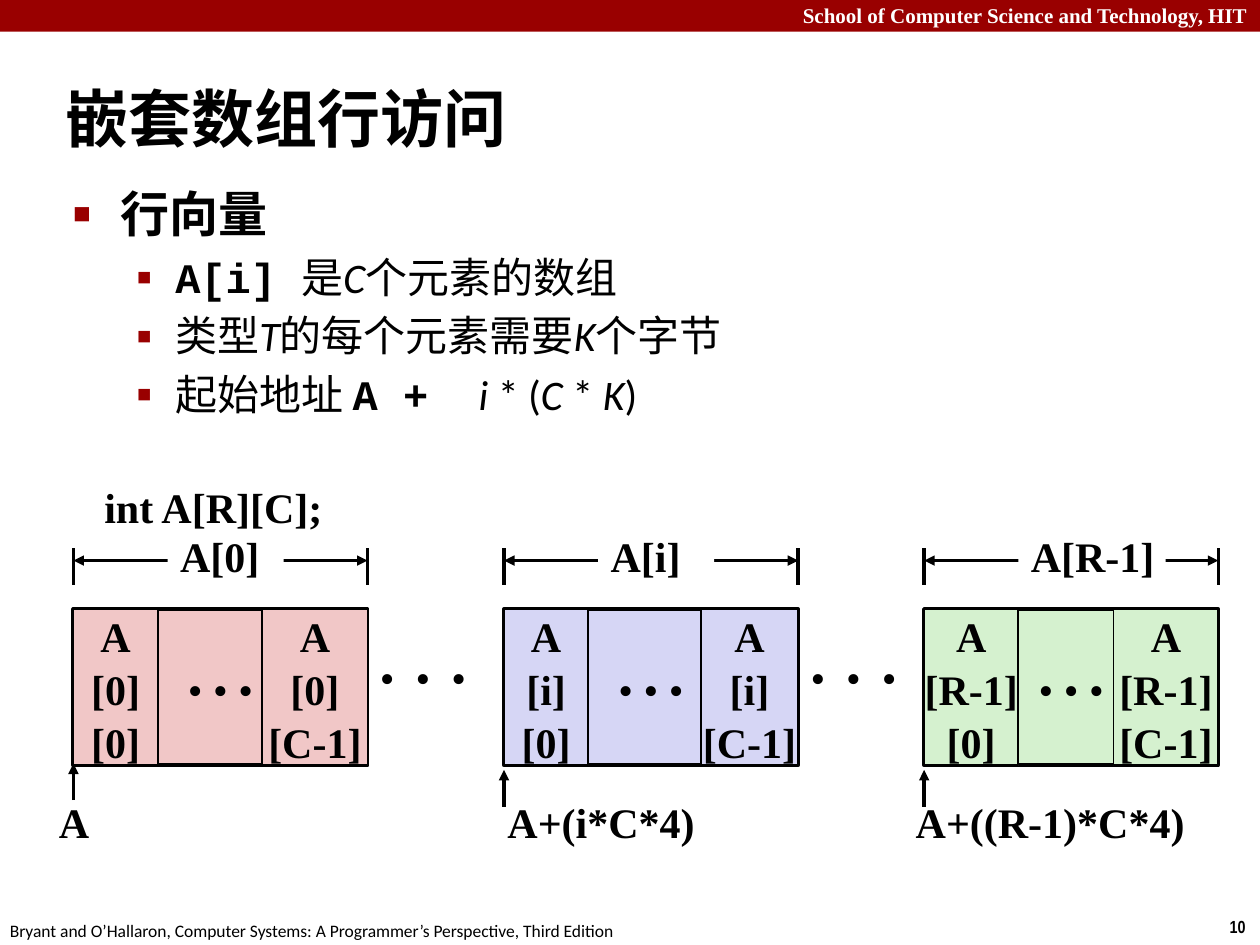
from lxml.etree import SubElement
from pptx import Presentation
from pptx.dml.color import RGBColor
from pptx.enum.shapes import MSO_CONNECTOR as Connector, MSO_SHAPE as Shape
from pptx.enum.text import MSO_ANCHOR as Anchor, MSO_AUTO_SIZE as AutoSize, PP_ALIGN as Align
from pptx.oxml.ns import qn
from pptx.util import Cm, Pt

COLORS = {
    "black": "000000", "white": "FFFFFF", "crimson": "990000",
    "pink": "F1C7C7", "lavender": "D6D6F5", "mint": "D5F1CF",
}
DIAGRAM = {"name": "Times New Roman", "size": Pt(24), "bold": True}
DOTS = {**DIAGRAM, "bold": False}
HEADER = {"name": "Times New Roman", "size": Pt(12), "bold": True}
FOOTER = {"name": "Calibri", "size": Pt(10)}
PAGE_NUMBER = {"name": "Arial Narrow", "size": Pt(10), "bold": True}
TITLE = {"name": "Calibri", "size": Pt(36), "bold": True}
TOPIC = {"name": "Calibri", "size": Pt(28), "bold": True}
DETAIL = {"name": "Calibri", "size": Pt(24), "bold": False, "italic": False}
VARIABLE = {**DETAIL, "italic": True}
CODE = {"name": "Courier New", "size": Pt(24), "bold": True}

BULLETS = [  # left margin, hanging indent (cm), size in percent, symbol
    (0.95, 0.95, 60, "■"),
    (2.06, 0.79, 110, "▪"),
]
BODY = [  # level, runs
    (0, [("行向量", TOPIC)]),
    (1, [("A[i] ", CODE), ("是", DETAIL), ("C", VARIABLE), ("个元素的数组", DETAIL)]),
    (1, [("类型", DETAIL), ("T", VARIABLE), ("的每个元素需要", DETAIL),
         ("K", VARIABLE), ("个字节", DETAIL)]),
    (1, [("起始地址 ", DETAIL), ("A +  ", CODE), ("i", VARIABLE), (" * (", DETAIL),
         ("C ", VARIABLE), ("* ", DETAIL), ("K", VARIABLE), (")", DETAIL)]),
]

ROW_WIDTH, ROW_TOP, ROW_HEIGHT = 5.93, 12.28, 3.15
# index, color, left, first cell width, last cell width, label width, pointer tip
ROWS = [
    ("0", "pink", 1.48, 1.7, 2.12, 2.34, 15.39),
    ("i", "lavender", 10.16, 1.7, 1.96, 2.34, 15.52),
    ("R-1", "mint", 18.63, 1.9, 2.11, 2.97, 15.52),
]
ADDRESSES = [("A", 0.94, 1.09), ("A+(i*C*4)", 9.98, 5.03), ("A+((R-1)*C*4)", 18.21, 6.35)]


def rgb(name):
    return RGBColor.from_string(COLORS[name])


class SlideBuilder:
    def __init__(self, presentation):
        self.slide = presentation.slides.add_slide(presentation.slide_layouts[1])
        self.shapes = self.slide.shapes

    def add_run(self, paragraph, text, style, color="black"):
        run = paragraph.add_run()
        run.text = text
        for name, value in style.items():
            setattr(run.font, name, value)
        run.font.color.rgb = rgb(color)

    def fill_text(self, shape, lines, style, color="black", align=Align.LEFT,
                  anchor=Anchor.TOP, wrap=False):
        frame = shape.text_frame
        frame.word_wrap = wrap
        frame.vertical_anchor = anchor
        for number, line in enumerate(lines):
            paragraph = frame.add_paragraph() if number else frame.paragraphs[0]
            paragraph.alignment = align
            if style["size"] == Pt(24):
                paragraph.line_spacing = 1.05
            self.add_run(paragraph, line, style, color)

    def text(self, box, line, style, **layout):
        shape = self.shapes.add_textbox(*map(Cm, box))
        self.fill_text(shape, [line], style, **layout)

    def rectangle(self, box, fill, line_width=0, lines=(), style=DIAGRAM, align=Align.CENTER):
        shape = self.shapes.add_shape(Shape.RECTANGLE, *map(Cm, box))
        shape.shadow.inherit = False
        shape.fill.solid()
        shape.fill.fore_color.rgb = rgb(fill)
        if line_width:
            shape.line.color.rgb = rgb("black")
            shape.line.width = Pt(line_width)
        else:
            shape.line.fill.background()
        self.fill_text(shape, lines, style, align=align, anchor=Anchor.MIDDLE)

    def line(self, start, end, arrowheads=()):
        """Draw a line; arrowheads names the ends that get one: headEnd, tailEnd."""
        connector = self.shapes.add_connector(Connector.STRAIGHT, *map(Cm, start + end))
        connector.line.color.rgb = rgb("black")
        connector.line.width = Pt(2)
        properties = connector._element.spPr
        outline = properties.find(qn("a:ln"))
        for arrowhead in arrowheads:
            SubElement(outline, qn("a:" + arrowhead), type="triangle")
        SubElement(properties, qn("a:effectLst"))

    def place(self, placeholder, box):
        names = ("left", "top", "width", "height")
        for name, value in zip(names, box):
            setattr(placeholder, name, Cm(value))
        placeholder.text_frame.auto_size = AutoSize.NONE

    def title(self, box, text):
        placeholder = self.slide.shapes.title
        self.place(placeholder, box)
        self.fill_text(placeholder, [text], TITLE, anchor=Anchor.MIDDLE, wrap=True)

    def bullet(self, paragraph, level):
        margin, hanging, size, symbol = BULLETS[level]
        paragraph.level = level
        properties = paragraph._p.get_or_add_pPr()
        properties.set("marL", str(int(Cm(margin))))
        properties.set("indent", str(-int(Cm(hanging))))
        color = SubElement(properties, qn("a:buClr"))
        SubElement(color, qn("a:srgbClr"), val=COLORS["crimson"])
        SubElement(properties, qn("a:buSzPct"), val=str(size * 1000))
        SubElement(properties, qn("a:buChar"), char=symbol)

    def body(self, box, items):
        placeholder = self.slide.placeholders[1]
        self.place(placeholder, box)
        frame = placeholder.text_frame
        for number, (level, runs) in enumerate(items):
            paragraph = frame.add_paragraph() if number else frame.paragraphs[0]
            self.bullet(paragraph, level)
            if not number:
                paragraph.space_before = Pt(0)
            for text, style in runs:
                self.add_run(paragraph, text, style)

    def array_row(self, index, color, left, first_width, last_width, label_width):
        """Group one array row: its cells and the dimension line above them."""
        self.shapes = self.slide.shapes.add_group_shape().shapes
        right = left + ROW_WIDTH
        self.rectangle((left, ROW_TOP, ROW_WIDTH, ROW_HEIGHT), color, 2.25, ["• • •"], DOTS)
        cells = [(left, first_width, "0"), (right - last_width, last_width, "C-1")]
        for cell_left, width, column in cells:
            self.rectangle((cell_left, ROW_TOP, width, ROW_HEIGHT), color, 1,
                           ["A", f"[{index}]", f"[{column}]"])
        for x in (left, right):
            self.line((x, 11.05), (x, 11.79))
        self.line((left, 11.3), (right, 11.3), ("headEnd", "tailEnd"))
        self.rectangle((left + 1.9, 10.57, label_width, 1.22), "white",
                       lines=[f"A[{index}]"], align=Align.LEFT)
        self.shapes = self.slide.shapes


def main():
    presentation = Presentation()
    presentation.slide_width, presentation.slide_height = Cm(25.4), Cm(19.05)
    builder = SlideBuilder(presentation)

    builder.rectangle((0, 0, 25.4, 0.64), "crimson")
    builder.text((0, -0.08, 25.4, 0.76), "School of Computer Science and Technology, HIT",
                 HEADER, color="white", align=Align.RIGHT, wrap=True)
    builder.text((24.54, 18.35, 0.86, 0.69), "10", PAGE_NUMBER)
    builder.text((-0.05, 18.42, 12.9, 0.69), "Bryant and O’Hallaron, Computer Systems: "
                 "A Programmer’s Perspective, Third Edition", FOOTER)

    builder.title((1.07, 1.57, 19.25, 1.6), "嵌套数组行访问")
    builder.body((1.22, 3.58, 17.27, 5.08), BODY)

    for _, _, left, *_ in ROWS[:-1]:
        builder.rectangle((left + ROW_WIDTH, 12.04, 2.74, ROW_HEIGHT), "white",
                          lines=["•  •  •"], style=DOTS, align=Align.LEFT)
    for *row, tip in ROWS:
        builder.array_row(*row)
        left = row[2]
        builder.line((left, tip + 0.74), (left, tip), ("tailEnd",))
    for address, left, width in ADDRESSES:
        builder.text((left, 15.88, width, 1.27), address, DIAGRAM, wrap=True)
    builder.text((1.8, 9.53, 4.95, 1.27), "int A[R][C];", DIAGRAM, align=Align.RIGHT)

    presentation.save("out.pptx")


if __name__ == "__main__":
    main()
